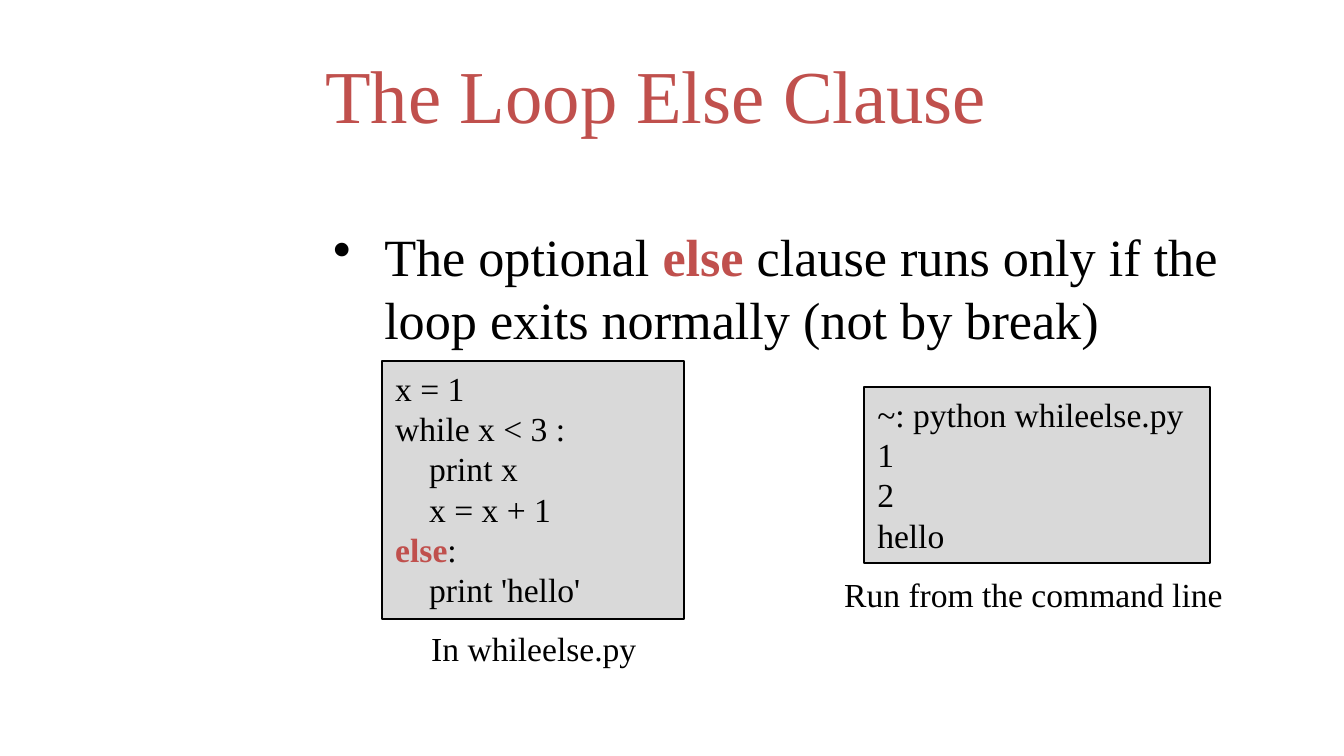
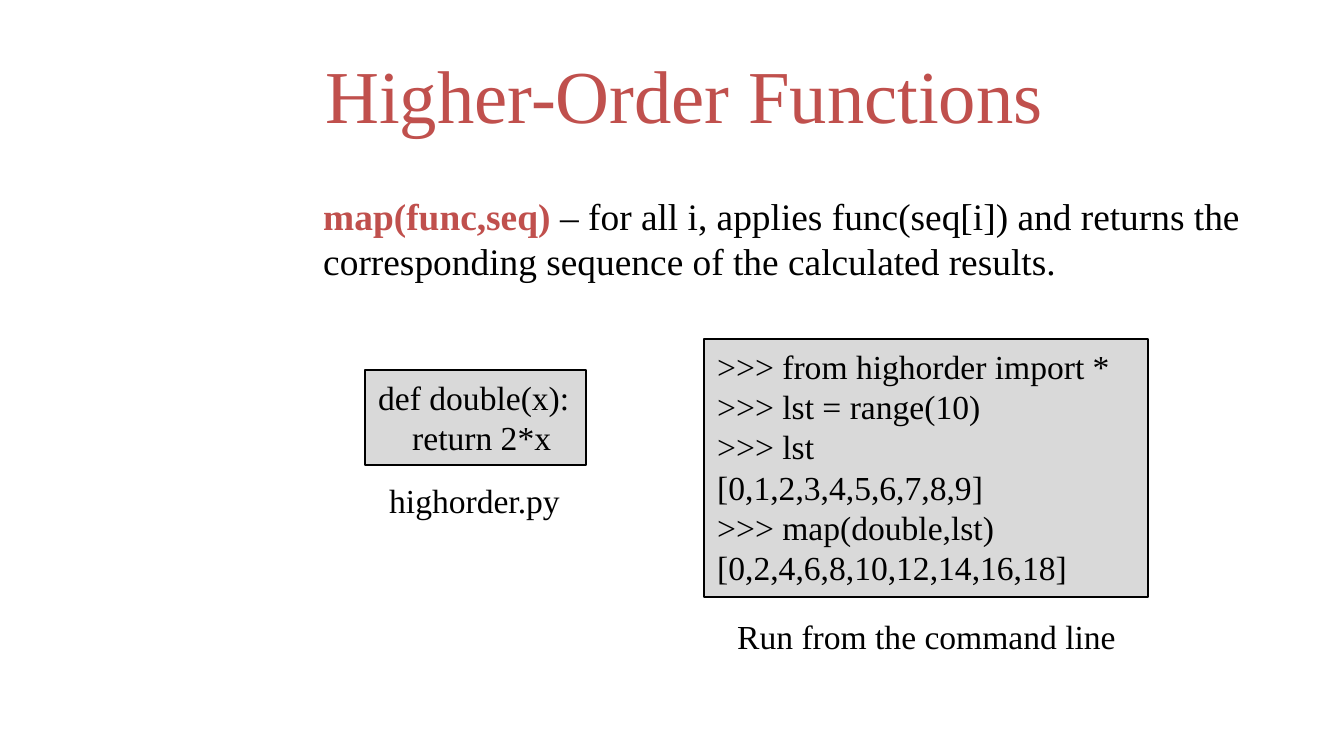
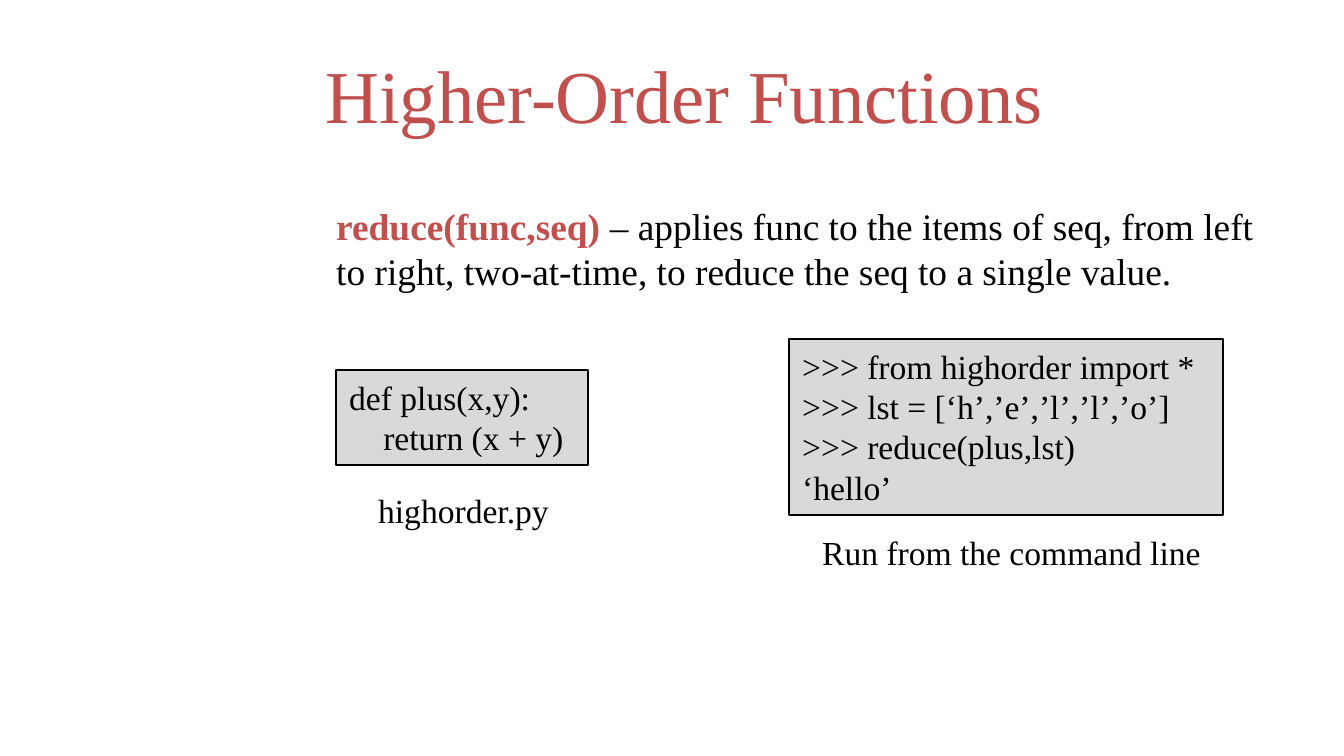
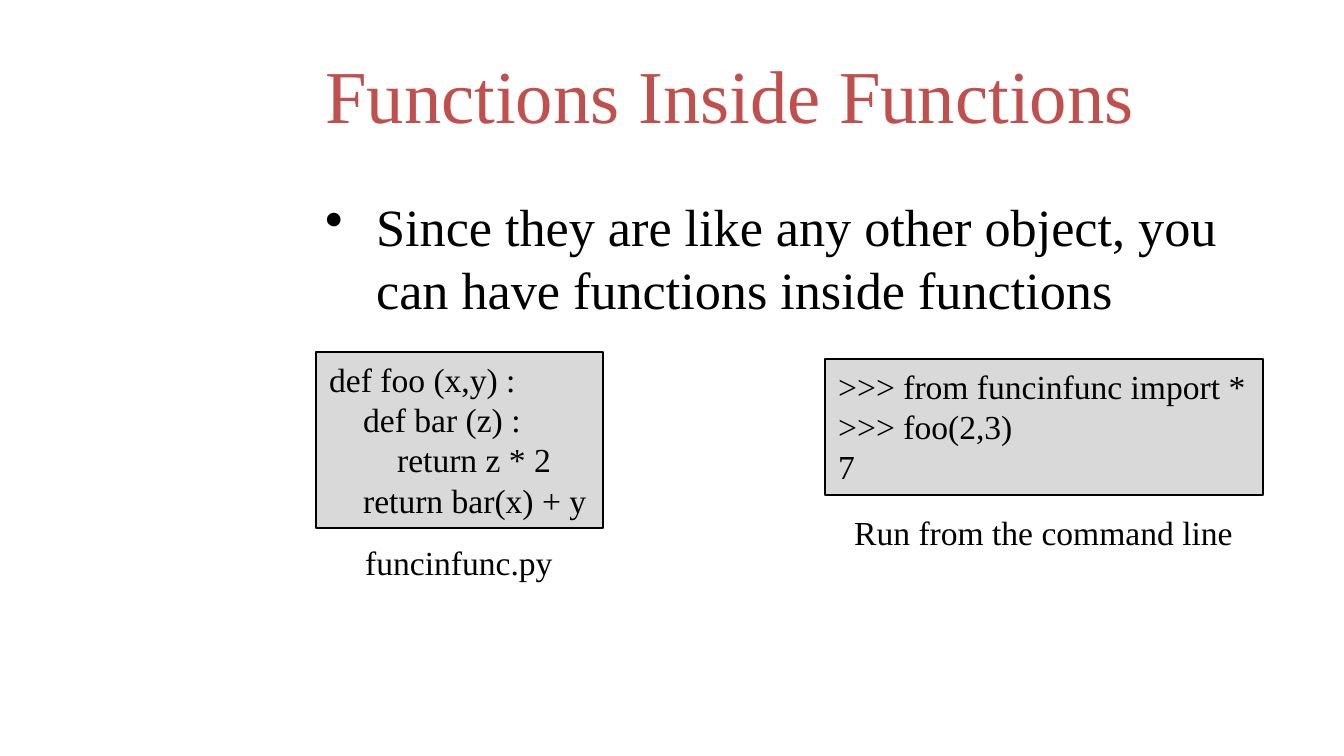
import pptx
import pptx.dml.color
import pptx.enum.shapes
import pptx.enum.text
import pptx.oxml
import pptx.oxml.ns
import pptx.util

PX = 914400 / 134.4
FONT = "Times New Roman"
ACCENT, INK, CODE_FILL = "C0504D", "000000", "D9D9D9"
TITLE_BOX = (312, 31, 965, 126)
TITLE_SIZE, BULLET_SIZE, DEFINITION_SIZE, CODE_SIZE = 40, 28, 20, 18
CAPTION_HEIGHT = 54
HANG = 51
CODE_STEP = 34  # width of one level of code indentation
COMMAND_LINE = "Run from the command line"

# In a line given as a tuple, every second part is emphasised.
# Boxes are (left, top, width, height); captions start at (left, top, width).
SLIDES = [
    {
        "title": "The Loop Else Clause",
        "bulleted": True,
        "statement": ("The optional ", "else",
                      " clause runs only if the loop exits normally (not by break)"),
        "statement_box": (320, 218, 925, 134),
        "listings": [
            ((382, 361, 302, 258),
             ["x = 1", "while x < 3 :", "    print x", "    x = x + 1",
              ("", "else", ":"), "    print 'hello'"],
             "In whileelse.py", (418, 621, 233)),
            ((864, 387, 346, 176),
             ["~: python whileelse.py", "1", "2", "hello"],
             COMMAND_LINE, (831, 567, 414)),
        ],
    },
    {
        "title": "Higher-Order Functions",
        "bulleted": False,
        "statement": ("", "map(func,seq)",
                      " – for all i, applies func(seq[i]) and returns the "
                      "corresponding sequence of the calculated results."),
        "statement_box": (310, 187, 985, 104),
        "listings": [
            ((365, 370, 221, 95),
             ["def double(x):", "    return 2*x"],
             "highorder.py", (376, 473, 211)),
            ((704, 339, 444, 258),
             [">>> from highorder import *", ">>> lst = range(10)", ">>> lst",
              "[0,1,2,3,4,5,6,7,8,9]", ">>> map(double,lst)",
              "[0,2,4,6,8,10,12,14,16,18]"],
             COMMAND_LINE, (724, 609, 414)),
        ],
    },
    {
        "title": "Higher-Order Functions",
        "bulleted": False,
        "statement": ("", "reduce(func,seq)",
                      " – applies func to the items of seq, from left to right, "
                      "two-at-time, to reduce the seq to a single value."),
        "statement_box": (323, 197, 973, 104),
        "listings": [
            ((336, 370, 252, 95),
             ["def plus(x,y):", "    return (x + y)"],
             "highorder.py", (365, 483, 202)),
            ((789, 339, 434, 176),
             [">>> from highorder import *", ">>> lst = [‘h’,’e’,’l’,’l’,’o’]",
              ">>> reduce(plus,lst)", "‘hello’"],
             COMMAND_LINE, (809, 525, 414)),
        ],
    },
    {
        "title": "Functions Inside Functions",
        "bulleted": True,
        "statement": "Since they are like any other object, you can have "
                     "functions inside functions",
        "statement_box": (312, 188, 931, 151),
        "listings": [
            ((316, 352, 287, 176),
             ["def foo (x,y) :", "    def bar (z) :", "        return z * 2",
              "    return bar(x) + y"],
             "funcinfunc.py", (352, 535, 224)),
            ((825, 359, 438, 136),
             [">>> from funcinfunc import *", ">>> foo(2,3)", "7"],
             COMMAND_LINE, (841, 505, 414)),
        ],
    },
]


def px(length):
    return pptx.util.Emu(round(length * PX))


def place(box):
    return [px(length) for length in box]


def rgb(colour):
    return pptx.dml.color.RGBColor.from_string(colour)


def add_run(paragraph, text, size, colour=INK, bold=False):
    run = paragraph.add_run()
    run.text = text
    run.font.name = FONT
    run.font.size = pptx.util.Pt(size)
    run.font.bold = bold
    run.font.color.rgb = rgb(colour)


def write(frame, lines, size):
    """Fill a frame with lines, turning leading spaces into indents."""
    frame.word_wrap = True
    frame.auto_size = pptx.enum.text.MSO_AUTO_SIZE.NONE
    frame.vertical_anchor = pptx.enum.text.MSO_ANCHOR.TOP
    for number, line in enumerate(lines):
        paragraph = frame.add_paragraph() if number else frame.paragraphs[0]
        paragraph.alignment = pptx.enum.text.PP_ALIGN.LEFT
        parts = (line,) if isinstance(line, str) else line
        level = (len(parts[0]) - len(parts[0].lstrip())) // 4
        if level:
            paragraph._p.get_or_add_pPr().set("marL", str(px(level * CODE_STEP)))
            parts = (parts[0].lstrip(), *parts[1:])
        for index, part in enumerate(parts):
            if part:
                emphasised = index % 2 == 1
                add_run(paragraph, part, size, ACCENT if emphasised else INK, emphasised)


def add_text(slide, box, line, size):
    frame = slide.shapes.add_textbox(*place(box)).text_frame
    write(frame, [line], size)
    return frame


def add_bullet(paragraph):
    properties = paragraph._p.get_or_add_pPr()
    properties.set("marL", str(px(HANG)))
    properties.set("indent", str(px(-HANG)))
    properties.append(pptx.oxml.parse_xml(
        f'<a:buChar {pptx.oxml.ns.nsdecls("a")} char="•"/>'))


def add_title(slide, text):
    title = slide.shapes.title
    title.left, title.top, title.width, title.height = place(TITLE_BOX)
    frame = title.text_frame
    frame.auto_size = pptx.enum.text.MSO_AUTO_SIZE.NONE
    frame.vertical_anchor = pptx.enum.text.MSO_ANCHOR.MIDDLE
    frame.paragraphs[0].alignment = pptx.enum.text.PP_ALIGN.LEFT
    add_run(frame.paragraphs[0], text, TITLE_SIZE, ACCENT)


def add_listing(slide, box, code):
    panel = slide.shapes.add_shape(pptx.enum.shapes.MSO_SHAPE.RECTANGLE, *place(box))
    panel.shadow.inherit = False
    panel.fill.solid()
    panel.fill.fore_color.rgb = rgb(CODE_FILL)
    panel.line.color.rgb = rgb(INK)
    panel.line.width = pptx.util.Pt(0.75)
    write(panel.text_frame, code, CODE_SIZE)


def main():
    deck = pptx.Presentation()
    deck.slide_width, deck.slide_height = px(1344), px(756)
    title_only = deck.slide_layouts[5]
    for content in SLIDES:
        slide = deck.slides.add_slide(title_only)
        add_title(slide, content["title"])
        bulleted = content["bulleted"]
        statement = add_text(slide, content["statement_box"], content["statement"],
                             BULLET_SIZE if bulleted else DEFINITION_SIZE)
        if bulleted:
            add_bullet(statement.paragraphs[0])
        for box, code, caption, caption_start in content["listings"]:
            add_listing(slide, box, code)
            add_text(slide, (*caption_start, CAPTION_HEIGHT), caption, CODE_SIZE)
    deck.save("out.pptx")


if __name__ == "__main__":
    main()
